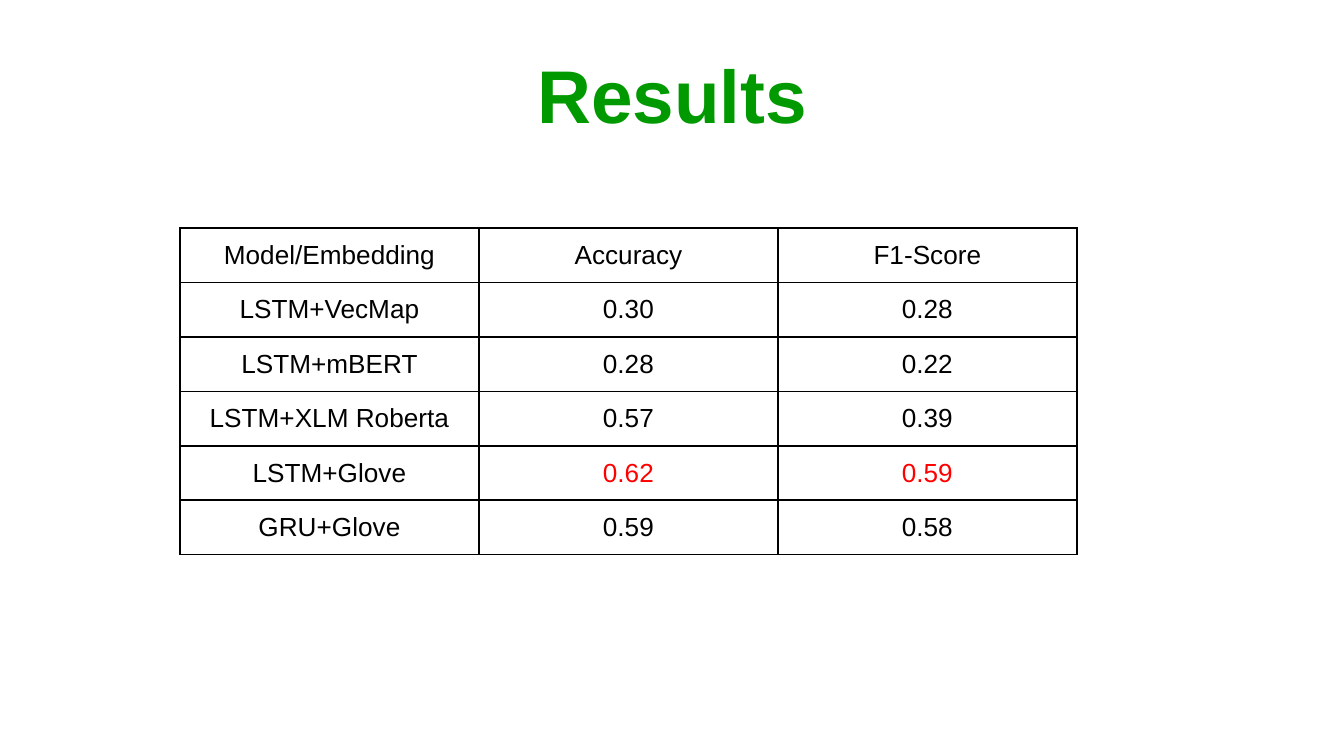
import dataclasses

import lxml.etree
import pptx
import pptx.dml.color
import pptx.enum.text
import pptx.oxml.ns
import pptx.util

EMU_PER_PX = 914400 / 134.4
FONT = "Arial"
COLORS = {
    "background": "FFFFFF",
    "title": "009900",
    "text": "000000",
    "best": "FF0000",
    "border": "000000",
}


@dataclasses.dataclass(frozen=True)
class Result:
    model: str
    accuracy: str
    f1_score: str
    best: bool = False


HEADINGS = Result("Model/Embedding", "Accuracy", "F1-Score")
RESULTS = [
    Result("LSTM+VecMap", "0.30", "0.28"),
    Result("LSTM+mBERT", "0.28", "0.22"),
    Result("LSTM+XLM Roberta", "0.57", "0.39"),
    Result("LSTM+Glove", "0.62", "0.59", best=True),
    Result("GRU+Glove", "0.59", "0.58"),
]


def px(length: int) -> pptx.util.Emu:
    return pptx.util.Emu(round(length * EMU_PER_PX))


def rgb(name: str) -> pptx.dml.color.RGBColor:
    return pptx.dml.color.RGBColor.from_string(COLORS[name])


def write(frame, text: str, *, size: int, color: str = "text", bold: bool = False) -> None:
    """Put one centred line of text into a text frame."""
    line = frame.paragraphs[0]
    line.alignment = pptx.enum.text.PP_ALIGN.CENTER
    run = line.add_run()
    run.text = text
    run.font.name = FONT
    run.font.size = pptx.util.Pt(size)
    run.font.bold = bold
    run.font.color.rgb = rgb(color)


def add_borders(cell, width: int = 1) -> None:
    properties = cell._tc.get_or_add_tcPr()
    qn = pptx.oxml.ns.qn
    # Borders must come before the fill in the cell properties.
    for position, side in enumerate(("a:lnL", "a:lnR", "a:lnT", "a:lnB")):
        border = lxml.etree.Element(qn(side), w=str(pptx.util.Pt(width)))
        fill = lxml.etree.SubElement(border, qn("a:solidFill"))
        lxml.etree.SubElement(fill, qn("a:srgbClr"), val=COLORS["border"])
        properties.insert(position, border)


def add_title(slide, text: str) -> None:
    title = slide.shapes.title
    title.left, title.top, title.width, title.height = px(67), px(31), px(1210), px(126)
    title.text_frame.vertical_anchor = pptx.enum.text.MSO_ANCHOR.MIDDLE
    write(title.text_frame, text, size=40, color="title", bold=True)


def add_results(slide, rows: list[Result]) -> None:
    fields = dataclasses.fields(Result)[:3]
    table = slide.shapes.add_table(
        len(rows), len(fields), px(180), px(228), px(897), px(327)
    ).table
    table.first_row = table.horz_banding = False
    for r, result in enumerate(rows):
        for c, field in enumerate(fields):
            cell = table.cell(r, c)
            cell.vertical_anchor = pptx.enum.text.MSO_ANCHOR.MIDDLE
            cell.fill.solid()
            cell.fill.fore_color.rgb = rgb("background")
            add_borders(cell)
            color = "best" if result.best and c > 0 else "text"
            write(cell.text_frame, getattr(result, field.name), size=14, color=color)


def main() -> None:
    deck = pptx.Presentation()
    deck.slide_width, deck.slide_height = px(1344), px(756)
    title_only = deck.slide_layouts[5]
    slide = deck.slides.add_slide(title_only)
    slide.background.fill.solid()
    slide.background.fill.fore_color.rgb = rgb("background")
    add_title(slide, "Results")
    add_results(slide, [HEADINGS, *RESULTS])
    deck.save("out.pptx")


if __name__ == "__main__":
    main()
